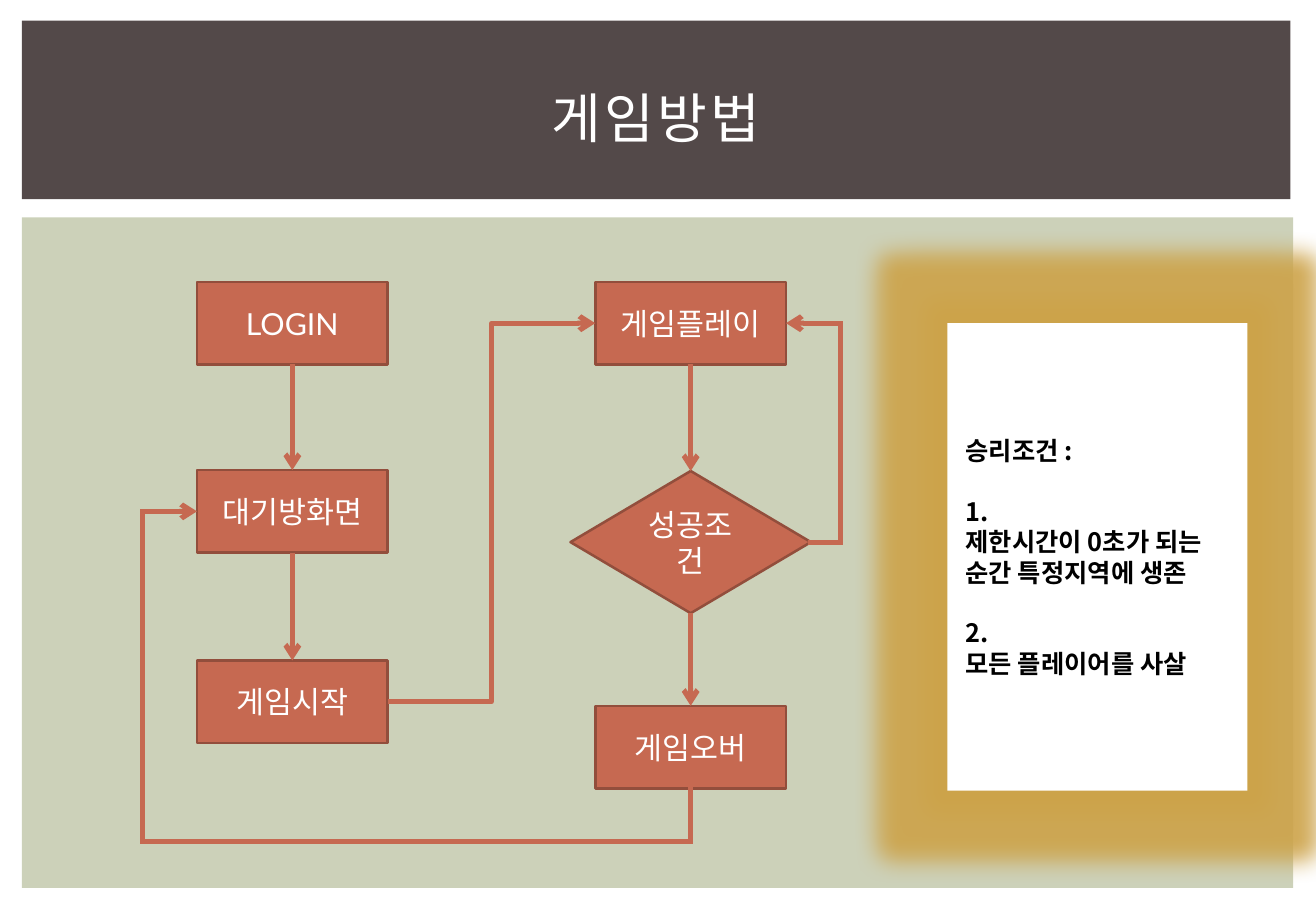
from dataclasses import dataclass
from itertools import pairwise

from lxml import etree
from pptx import Presentation
from pptx.dml.color import RGBColor
from pptx.enum.shapes import MSO_CONNECTOR, MSO_SHAPE
from pptx.enum.text import MSO_ANCHOR, PP_ALIGN
from pptx.oxml import parse_xml
from pptx.oxml.ns import qn
from pptx.util import Inches, Pt

RECT, DIAMOND = MSO_SHAPE.RECTANGLE, MSO_SHAPE.DIAMOND
STRAIGHT, ELBOW = MSO_CONNECTOR.STRAIGHT, MSO_CONNECTOR.ELBOW
CENTER, LEFT = PP_ALIGN.CENTER, PP_ALIGN.LEFT
MIDDLE = MSO_ANCHOR.MIDDLE
NS = "http://schemas.openxmlformats.org/drawingml/2006/main"


@dataclass(frozen=True)
class Theme:
    panel: str = "CCD1B9"
    band: str = "534949"
    node: str = "C66951"
    edge: str = "924E3C"
    glow: str = "CDA349"
    light: str = "FFFFFF"
    dark: str = "000000"
    font: str = "Lato"
    bold: str = "Noto Sans CJK KR"
    title: int = 32
    label: int = 18
    note: int = 15
    lead: int = 18


@dataclass(frozen=True)
class Box:
    x: float
    y: float
    w: float
    h: float

    def at(self, x, y):
        return self.x + self.w * x / 100, self.y + self.h * y / 100

    def sub(self, x, y, w, h):
        return Box(*self.at(x, y), self.w * w / 100, self.h * h / 100)

    def mid(self, x, y, w, h):
        return self.sub(x - w / 2, y - h / 2, w, h)


THEME = Theme()
PAGE = Box(0, 0, 10.83, 7.5)


def rgb(code):
    return RGBColor.from_string(code)


def block(slide, box, fill, kind=RECT, edge=None):
    shape = slide.shapes.add_shape(
        kind, *(Inches(v) for v in (box.x, box.y, box.w, box.h)))
    shape.shadow.inherit = False
    shape.fill.solid()
    shape.fill.fore_color.rgb = rgb(fill)
    if edge:
        shape.line.color.rgb = rgb(edge)
        shape.line.width = Pt(1.5)
    else:
        shape.line.fill.background()
    return shape


def style(para, font, size, color, align=CENTER, bold=False):
    para.alignment = align
    para.font.name = font
    para.font.size = Pt(size)
    para.font.color.rgb = rgb(color)
    para.font.bold = bold


def label(shape, text, size):
    frame = shape.text_frame
    frame.word_wrap = True
    frame.vertical_anchor = MIDDLE
    para = frame.paragraphs[0]
    run = para.add_run()
    run.text = text
    style(para, THEME.font, size, THEME.light)
    return run


def link(slide, start, end, arrow=False, kind=STRAIGHT):
    line = slide.shapes.add_connector(
        kind, *(Inches(v) for v in (*start, *end)))
    line.line.color.rgb = rgb(THEME.node)
    line.line.width = Pt(3)
    props = line._element.spPr
    if arrow:
        etree.SubElement(props.find(qn("a:ln")), qn("a:tailEnd"), type="arrow")
    else:
        props.find(qn("a:ln")).set("cap", "sq")
    etree.SubElement(props, qn("a:effectLst"))


def route(slide, points):
    pairs = list(pairwise(points))
    for i, (start, end) in enumerate(pairs, 1):
        link(slide, start, end, arrow=i == len(pairs))


def header(slide, box):
    block(slide, box, THEME.band)
    area = box.sub(2.5, 15, 95, 78)
    text = slide.shapes.add_textbox(
        *(Inches(v) for v in (area.x, area.y, area.w, area.h)))
    run = label(text, "게임방법", THEME.title)
    run._r.get_or_add_rPr().set("spc", "200")


def flow(slide, box):
    one, two, wide, tall = 21.5, 78.5, 27.3, 14.75
    rows = 7.4, 41, 75
    test, over = 46.5, 83.1
    nodes = [
        ("LOGIN", one, rows[0]),
        ("대기방화면", one, rows[1]),
        ("게임시작", one, rows[2]),
        ("게임플레이", two, rows[0]),
        ("게임오버", two, over),
    ]
    for text, x, y in nodes:
        shape = block(slide, box.mid(x, y, wide, tall), THEME.node, edge=THEME.edge)
        label(shape, text, THEME.label)
    shape = block(slide, box.mid(two, test, 34.4, 25.4),
                  THEME.node, DIAMOND, THEME.edge)
    label(shape, "성공조건", THEME.label)

    half, side = tall / 2, wide / 2
    for x, top, end in [
        (one, rows[0] + half, rows[1] - half),
        (one, rows[1] + half, rows[2] - half),
        (two, rows[0] + half, test - 12.7),
        (two, test + 12.7, over - half),
    ]:
        link(slide, box.at(x, top), box.at(x, end), arrow=True)
    link(slide, box.at(one + side, rows[2]), box.at(two - side, rows[0]),
         arrow=True, kind=ELBOW)
    route(slide, [box.at(two + 17.2, test), box.at(100, test),
                  box.at(100, rows[0]), box.at(two + side, rows[0])])
    route(slide, [box.at(two, over + half), box.at(two, 100), box.at(0, 100),
                  box.at(0, rows[1]), box.at(one - side, rows[1])])


def note(slide, box):
    shape = block(slide, box, THEME.light)
    effects = shape._element.spPr.find(qn("a:effectLst"))
    effects.append(parse_xml(
        f'<a:glow xmlns:a="{NS}" rad="{Pt(28)}"><a:srgbClr val="{THEME.glow}">'
        '<a:alpha val="90000"/></a:srgbClr></a:glow>'))
    frame = shape.text_frame
    frame.word_wrap = True
    frame.vertical_anchor = MIDDLE
    frame.margin_left = Inches(0.15)
    lines = ["승리조건 :", "1.", "제한시간이 0초가 되는 순간 특정지역에 생존",
             "2.", "모든 플레이어를 사살"]
    for i, text in enumerate(lines):
        para = frame.add_paragraph() if i else frame.paragraphs[0]
        para.text = text
        style(para, THEME.bold, THEME.note, THEME.dark, LEFT, True)
        para.line_spacing = Pt(THEME.lead)
        if text in ("1.", "2."):
            para.space_before = Pt(THEME.lead)


def main():
    deck = Presentation()
    deck.slide_width, deck.slide_height = Inches(PAGE.w), Inches(PAGE.h)
    slide = deck.slides.add_slide(deck.slide_layouts[6])
    block(slide, PAGE.sub(1.66, 23.87, 96.6, 73.6), THEME.panel)
    header(slide, PAGE.sub(1.66, 2.27, 96.4, 19.6))
    flow(slide, PAGE.sub(10.8, 30.93, 53.1, 61.47))
    note(slide, PAGE.sub(72, 35.47, 22.8, 51.33))
    deck.save("out.pptx")


if __name__ == "__main__":
    main()
